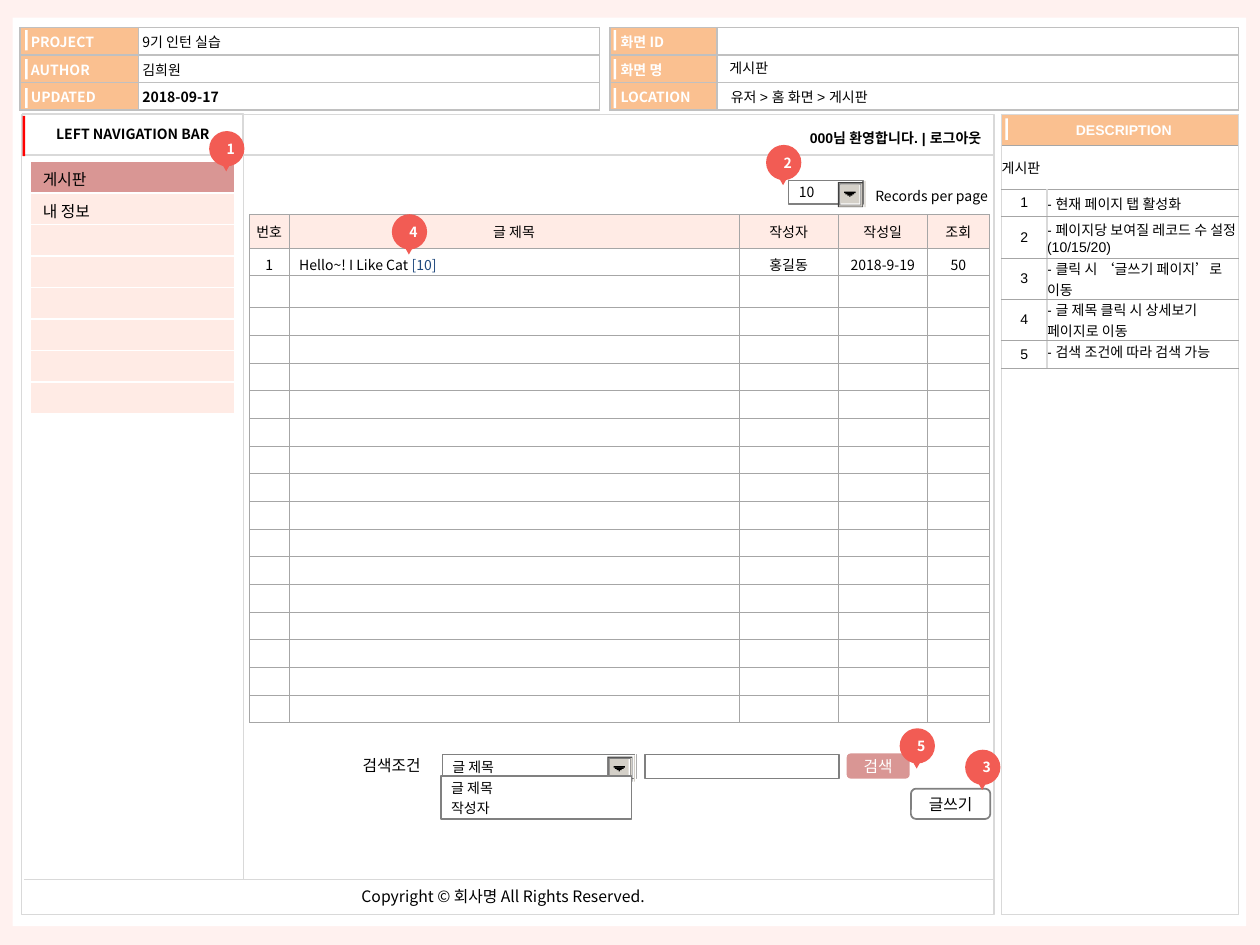
from dataclasses import dataclass
from lxml.etree import SubElement
from pptx import Presentation
from pptx.dml.color import RGBColor
from pptx.enum.shapes import MSO_CONNECTOR, MSO_SHAPE
from pptx.enum.text import MSO_ANCHOR, MSO_AUTO_SIZE, PP_ALIGN
from pptx.oxml.ns import qn
from pptx.util import Pt

COLS, ROWS = 1000, 750  # grid over the whole slide
CELL = 9144
ALIGN = {"l": PP_ALIGN.LEFT, "c": PP_ALIGN.CENTER, "r": PP_ALIGN.RIGHT}
ANCHOR = {"t": MSO_ANCHOR.TOP, "m": MSO_ANCHOR.MIDDLE}


@dataclass(frozen=True)
class Theme:
    """Colours, fonts and type sizes of the slide."""
    page: str = "FFF1EF"
    white: str = "FFFFFF"
    black: str = "000000"
    label: str = "FAC090"
    tint: str = "FFEBE5"
    rose: str = "D99694"
    pin: str = "F25C54"
    red: str = "FF0000"
    link: str = "1F497D"
    frame: str = "D9D9D9"
    silver: str = "C0C0C0"
    rule: str = "A6A6A6"
    control: str = "808080"
    bevel: str = "D4D0C8"
    dark: str = "404040"
    sans: str = "Noto Sans CJK KR"
    arial: str = "Arial"
    small: int = 8
    body: int = 9


T = Theme()


def grid(*lengths):
    """Turn grid units into slide lengths."""
    return [round(n * CELL) for n in lengths]


def rgb(c):
    return RGBColor.from_string(c)


def write(tf, text, size=T.small, color=T.black, bold=False, font=T.sans,
          align="l", gap=0):
    """Fill a text frame; each line is a string or a list of (text, colour)."""
    for i, line in enumerate(text.split("\n") if isinstance(text, str) else text):
        p = tf.add_paragraph() if i else tf.paragraphs[0]
        p.alignment = ALIGN[align]
        p.space_before = Pt(gap if i else 0)
        if not line:
            SubElement(p._p, qn("a:endParaRPr"), sz=str(size * 100))
            continue
        for words, c in [(line, color)] if isinstance(line, str) else line:
            r = p.add_run()
            r.text = words
            r.font.size, r.font.bold, r.font.name = Pt(size), bold, font
            r.font.color.rgb = rgb(c)
            SubElement(r._r.get_or_add_rPr(), qn("a:ea"), typeface=T.sans)


def set_insets(obj, inset):
    """Set left, top, right and bottom margins in grid units."""
    obj.margin_left, obj.margin_top, obj.margin_right, obj.margin_bottom = grid(*inset)


def shape(s, box, fill=None, line=None, width=0.75, kind=MSO_SHAPE.RECTANGLE,
          text="", inset=(10, 5, 10, 5), **fmt):
    """Add a preset shape with optional fill, outline and text."""
    sp = s.shapes.add_shape(kind, *grid(*box))
    sp.shadow.inherit = False
    if fill:
        sp.fill.solid()
        sp.fill.fore_color.rgb = rgb(fill)
    else:
        sp.fill.background()
    if line:
        sp.line.color.rgb, sp.line.width = rgb(line), Pt(width)
    else:
        sp.line.fill.background()
    if text:
        tf = sp.text_frame
        tf.word_wrap, tf.vertical_anchor = True, MSO_ANCHOR.MIDDLE
        set_insets(tf, inset)
        write(tf, text, **fmt)
    return sp


def label(s, box, text, wrap=True, inset=(8, 4, 8, 4), **fmt):
    """Add a text box."""
    tf = s.shapes.add_textbox(*grid(*box)).text_frame
    tf.word_wrap = wrap
    tf.auto_size = MSO_AUTO_SIZE.NONE if wrap else MSO_AUTO_SIZE.SHAPE_TO_FIT_TEXT
    set_insets(tf, inset)
    write(tf, text, **fmt)


def rule(s, x1, y1, x2, y2, width=1):
    """Add a straight frame line."""
    ln = s.shapes.add_connector(MSO_CONNECTOR.STRAIGHT, *grid(x1, y1, x2, y2))
    ln.line.color.rgb, ln.line.width = rgb(T.frame), Pt(width)
    SubElement(ln._element.spPr, qn("a:effectLst"))


def table(s, x, y, cols, rows):
    """Add a plain table with the given column and row lengths."""
    t = s.shapes.add_table(len(rows), len(cols), *grid(x, y, sum(cols), sum(rows))).table
    t.first_row = t.horz_banding = False
    for parts, sizes, name in ((t.columns, cols, "width"), (t.rows, rows, "height")):
        for part, n in zip(parts, grid(*sizes)):
            setattr(part, name, n)
    return t


def cell(c, text="", fill=None, side=(T.frame, 1), edge=None, inset=(0, 0, 0, 0),
         anchor="m", **fmt):
    """Format one cell; side is its left and right border, edge top and bottom."""
    c.vertical_anchor = ANCHOR[anchor]
    set_insets(c, inset)
    if fill:
        c.fill.solid()
        c.fill.fore_color.rgb = rgb(fill)
    else:
        c.fill.background()
    pr = c._tc.get_or_add_tcPr()
    for i, name in enumerate("LRTB"):
        color, width = side if name in "LR" else edge or side
        ln = SubElement(pr, qn("a:ln" + name), w=str(Pt(width)))
        SubElement(SubElement(ln, qn("a:solidFill")), qn("a:srgbClr"), val=color)
        pr.insert(i, ln)
    write(c.text_frame, text, **fmt)


def info_table(s, x, y, cols, entries, tick):
    """Project facts: orange labels with white ticks, and values."""
    t = table(s, x, y, cols, [21.8] * len(entries))
    line = (T.silver, 1)
    for i, (name, value, bold) in enumerate(entries):
        cell(t.cell(i, 0), name, T.label, line, inset=(8.5, 0, 3, 0),
             color=T.white, bold=True)
        cell(t.cell(i, 1), value, T.white, line, inset=(3, 0, 3, 0), bold=bold)
        shape(s, (x + tick, y + 2 + 23 * i, 2, 16), T.white)


def description(s, x, y, w, h, notes):
    """Side panel with numbered notes."""
    t = table(s, x, y, [w], [25, h - 25])
    cell(t.cell(0, 0), "DESCRIPTION", T.label, inset=(6, 0, 0, 0), font=T.arial,
         color=T.white, bold=True, align="c")
    cell(t.cell(1, 0), fill=T.white)
    shape(s, (x + 3, y + 3, 2, 17), T.white)
    t = table(s, x, y + 24, [36, w - 36], [35, 22, 33, 29, 33, 22])
    t.cell(0, 0).merge(t.cell(0, 1))
    fmt = dict(fill=T.white, edge=(T.rule, 0.5), font=T.arial)
    cell(t.cell(0, 0), "게시판", **fmt)
    for i, note in enumerate(notes, 1):
        cell(t.cell(i, 0), str(i), align="c", **fmt)
        cell(t.cell(i, 1), "- " + note, anchor="t" if i == len(notes) else "m", **fmt)


def navigation(s, x, y, w, h, items, count):
    """Left bar: heading with red mark and menu rows, the first one active."""
    shape(s, (x, y, w, 33), line=T.frame, text="LEFT NAVIGATION BAR", bold=True, align="c")
    shape(s, (x, y + 2, 2, 32), T.red)
    t = table(s, x + 6, y + 38, [162], [25] * count)
    for i in range(count):
        cell(t.cell(i, 0), items[i] if i < len(items) else "", T.tint if i else T.rose,
             (T.white, 1), inset=(10, 5, 10, 0), anchor="t", size=T.body)
    rule(s, x + w, y + 1, x + w, y + h, 0.75)


def board(s, x, y, head, post, blank):
    """List of posts with a tinted heading row."""
    t = table(s, x, y, [31.5, 357, 79, 70.5, 49.5], [27, 21.5, 25.5] + [22] * (blank - 1))
    line = (T.rule, 0.25)
    for j, (name, value) in enumerate(zip(head, post)):
        cell(t.cell(0, j), name, T.tint, line, align="c")
        cell(t.cell(1, j), value, None, line, inset=(8, 4, 8, 0),
             align="l" if j == 1 else "c")
        for i in range(blank):
            cell(t.cell(i + 2, j), "", None, line)


def drop_button(s, x, y):
    """Raised button with a down arrow, built from nested squares and bars."""
    g = s.shapes.add_group_shape()
    part = type("Part", (), {"shapes": g.shapes})
    shape(part, (x + 22, y - 2, 1, 24), T.white)
    shape(part, (x + 21, y - 1, 1, 21), T.bevel)
    for i, c in enumerate((T.dark, T.bevel, T.control, T.white, T.bevel)):
        n = (i + 1) // 2
        shape(part, (x + n, y + n, 20 - i - n / 2, 20 - i - n / 2), c)
    for i, w in enumerate((9, 7, 4, 1)):
        shape(part, (x + 9.5 - w / 2, y + 7.5 + i, w, 1.3), T.black)


def combo(s, x, y, w, text, button):
    """Closed drop-down field with its button."""
    shape(s, (x, y, w, 19), T.white, T.control, text=text, inset=(8, 0, 8, 0))
    drop_button(s, x + button, y + 1.5)


def pin(s, x, y, number):
    """Numbered marker with a tip below."""
    g = s.shapes.add_group_shape()
    part = type("Part", (), {"shapes": g.shapes})
    shape(part, (x, y, 28, 28), T.pin, kind=MSO_SHAPE.OVAL, text=str(number),
          color=T.white, bold=True, align="c")
    shape(part, (x + 9, y + 24, 9, 8), T.pin, kind=MSO_SHAPE.ISOSCELES_TRIANGLE).rotation = 180


def search(s, x, y):
    """Search row with open list, field and buttons."""
    label(s, (x, y, 71, 25), "검색조건", wrap=False, inset=(10, 5, 10, 5), size=T.body)
    combo(s, x + 73, y + 4, 154, "글 제목", 131)
    shape(s, (x + 72, y + 21, 151, 34), T.white, T.control, text="글 제목\n작성자",
          inset=(8, 0, 8, 0), gap=2)
    shape(s, (x + 234, y + 4, 154, 19), T.white, T.control)
    button = dict(kind=MSO_SHAPE.ROUNDED_RECTANGLE, size=T.body, align="c")
    shape(s, (x + 394, y + 3, 50, 20), T.rose, text="검색", color=T.white, **button)
    shape(s, (x + 445, y + 31, 63, 24), T.white, T.control, 1, text="글쓰기", **button)


prs = Presentation()
prs.slide_width, prs.slide_height = grid(COLS, ROWS)
s = prs.slides.add_slide(prs.slide_layouts[6])
s.background.fill.solid()
s.background.fill.fore_color.rgb = rgb(T.page)
shape(s, (10, 14, 979, 721), T.white)
info_table(s, 16, 22, [94, 366], [("PROJECT", "9기 인턴 실습", False),
           ("AUTHOR", "김희원", False), ("UPDATED", "2018-09-17", True)], 4)
info_table(s, 484, 22, [85, 414], [("화면 ID", "", False), ("화면 명", "", False),
           ("LOCATION", "", False)], 3)
label(s, (572, 66, 290, 20), "유저 > 홈 화면 > 게시판", font=T.arial)
label(s, (571, 43, 290, 20), "게시판", font=T.arial)
shape(s, (17, 91, 772, 635), line=T.frame)
description(s, 795, 91, 188, 635, [
    "현재 페이지 탭 활성화", "페이지당 보여질 레코드 수 설정(10/15/20)",
    "클릭 시 ‘글쓰기 페이지’로 이동", "글 제목 클릭 시 상세보기 페이지로 이동",
    "검색 조건에 따라 검색 가능"])
rule(s, 19, 698, 789, 698)
label(s, (277, 699, 252, 25), "Copyright ©\u00a0회사명 All Rights Reserved.", wrap=False,
      inset=(10, 5, 10, 5), size=T.body)
navigation(s, 18, 90, 175, 608, ["게시판", "내 정보"], 8)
rule(s, 193, 123, 789, 123)
label(s, (529, 99, 258, 22), "000님 환영합니다. | 로그아웃", font=T.arial, bold=True, align="r")
board(s, 198, 170, ["번호", "글 제목", "작성자", "작성일", "조회"],
      ["1", [[("Hello~! I Like Cat ", T.black), ("[10]", T.link)]], "홍길동", "2018-9-19", "50"], 16)
combo(s, 626, 143, 59, "10", 39)
label(s, (683, 144, 111, 24), "Records per page", wrap=False, inset=(10, 5, 10, 5), align="r")
search(s, 278, 595)
for number, (x, y) in enumerate([(166, 104), (608, 115), (766, 595), (311, 170), (714, 578)], 1):
    pin(s, x, y, number)
prs.save("out.pptx")
